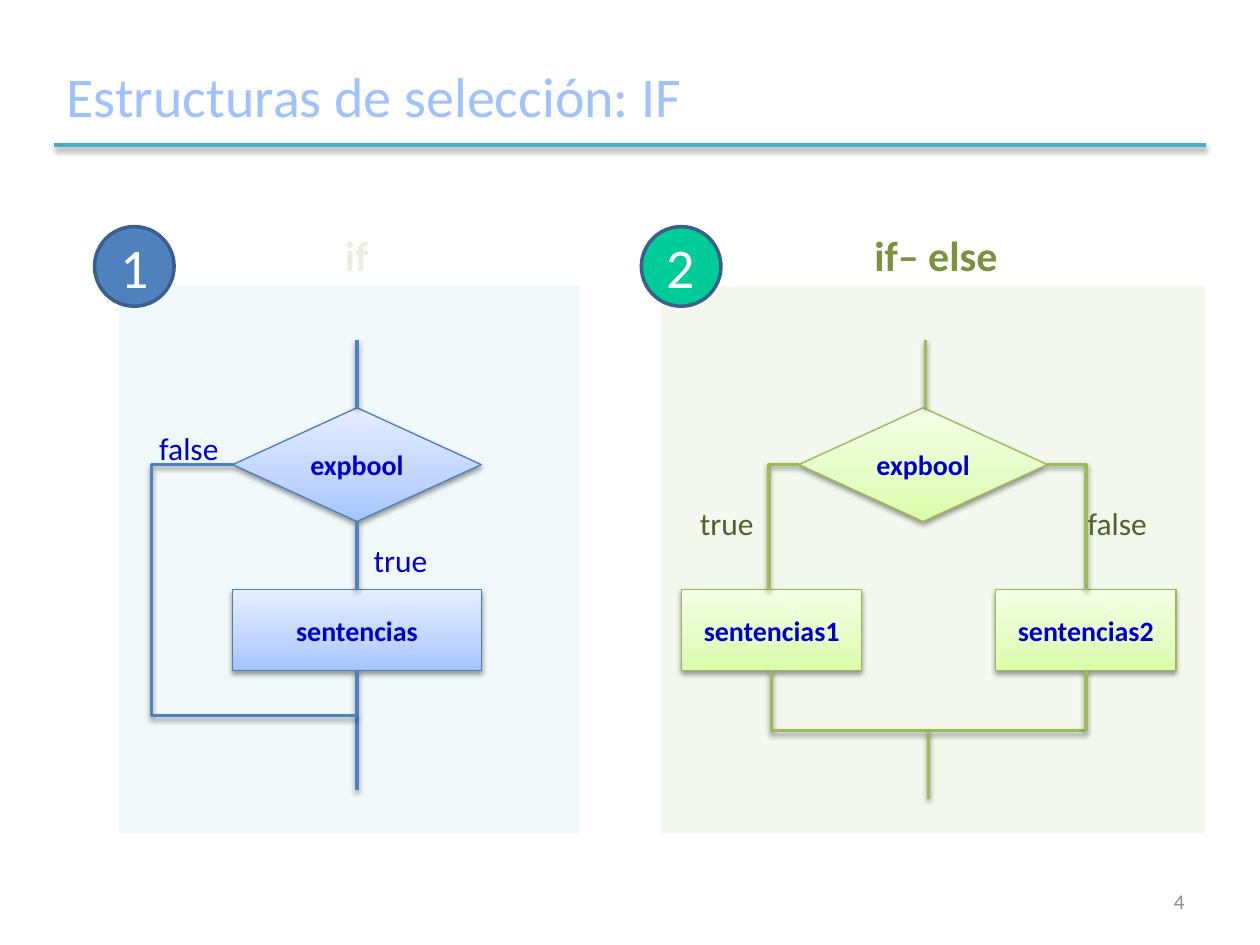
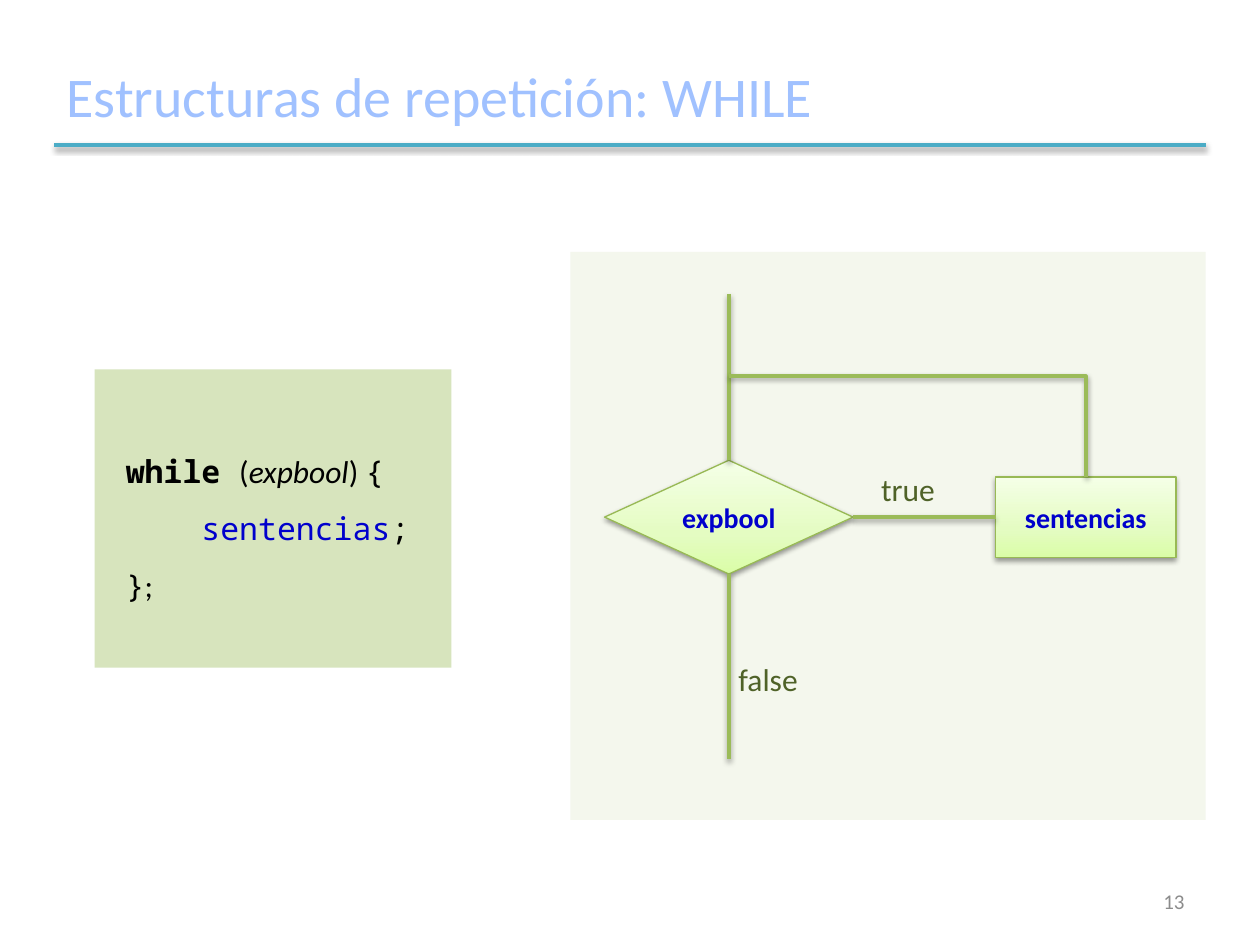
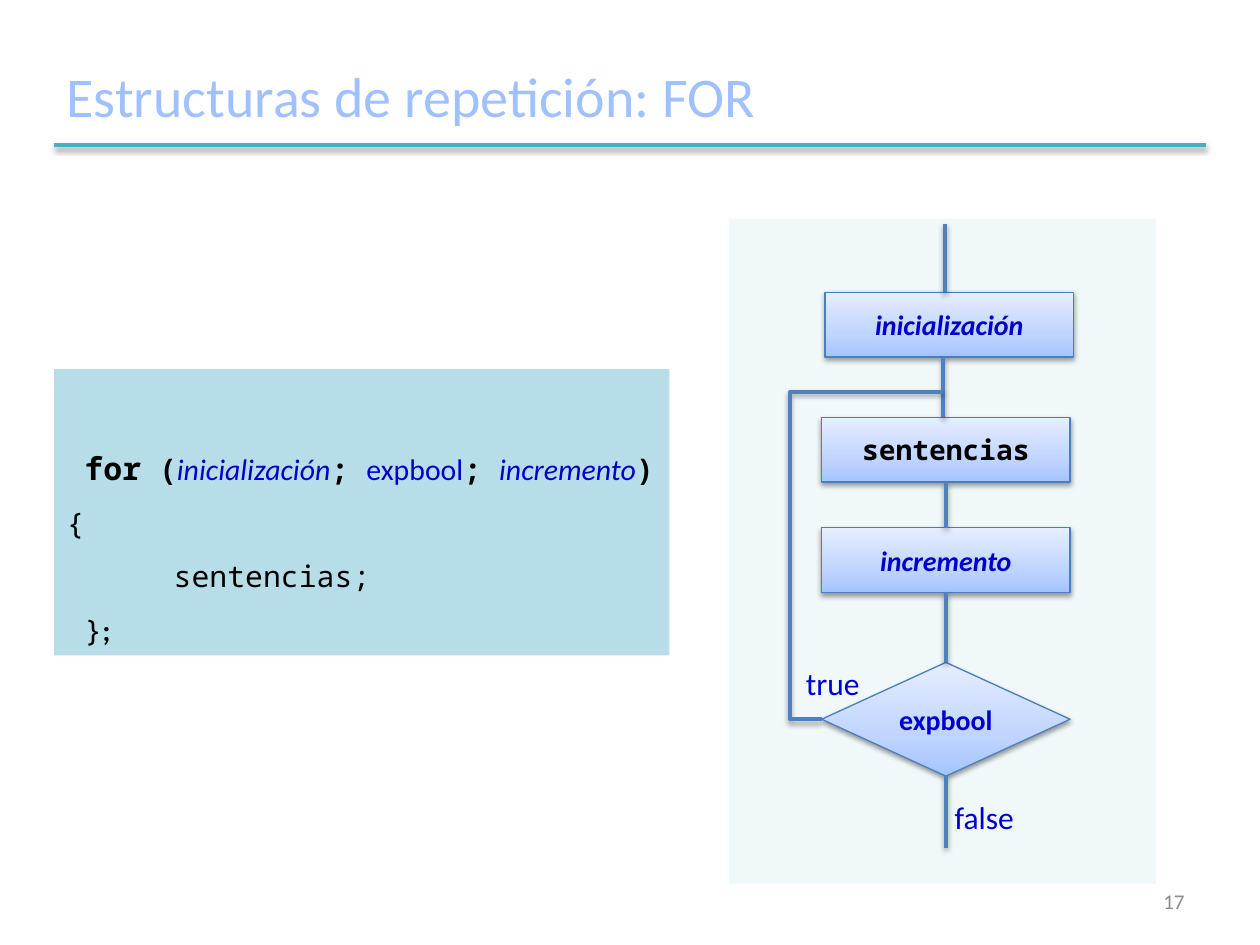
from lxml.etree import SubElement
from pptx import Presentation
from pptx.dml.color import RGBColor
from pptx.enum.shapes import MSO_CONNECTOR as Connector, MSO_SHAPE as Preset
from pptx.enum.text import MSO_ANCHOR as Anchor, PP_ALIGN as Align
from pptx.oxml.ns import qn
from pptx.util import Pt


class Theme:
    body_font, code_font = "Calibri", "Noto Sans Mono"
    title_size, heading_size, text_size, node_size, number_size = 32, 24, 18, 16, 12
    title, rule, number = "A0C1FF", "4BACC6", "8C8C8C"
    white, black, accent = "FFFFFF", "000000", "0000CC"
    badge_edge = "3A5F8C"
    blue = {"panel": "F0F8FA", "line": "4F81BD", "edge": "4B7EBC", "label": "0000CC",
            "code": "B7DEE8", "badge": "4F81BD", "heading": "EEECE1",
            "gradient": ((0, "A4C4FF"), (35, "BFD4FF"), (100, "E6EEFF"))}
    green = {"panel": "F4F7ED", "line": "9BBB59", "edge": "98B955", "label": "4F6228",
             "code": "D7E4BD", "badge": "00CC99", "heading": "77933C",
             "gradient": ((0, "DAFDA7"), (35, "E4FCC2"), (100, "F5FFE7"))}
    code_styles = {
        "keyword": (code_font, black, True, False),
        "code": (code_font, black, False, False),
        "code accent": (code_font, accent, False, False),
        "plain": (body_font, black, False, False),
        "bold": (body_font, black, True, False),
        "italic": (body_font, black, False, True),
        "accent": (body_font, accent, False, False),
        "accent italic": (body_font, accent, False, True),
    }


def write(shape, text, size, color, align=Align.LEFT, bold=False, italic=False,
          font=Theme.body_font):
    frame = shape.text_frame
    frame.word_wrap = True
    frame.vertical_anchor = Anchor.MIDDLE
    paragraph = frame.paragraphs[0]
    paragraph.text = text
    paragraph.alignment = align
    paragraph.font.name = font
    paragraph.font.size = Pt(size)
    paragraph.font.bold = bold
    paragraph.font.italic = italic
    paragraph.font.color.rgb = RGBColor.from_string(color)


def outline_with_shadow(shape, color, width):
    shape.line.color.rgb = RGBColor.from_string(color)
    shape.line.width = Pt(width)
    properties = shape._element.spPr
    for effects in properties.findall(qn("a:effectLst")):
        properties.remove(effects)
    effects = SubElement(properties, qn("a:effectLst"))
    shadow = SubElement(effects, qn("a:outerShdw"), blurRad=str(Pt(3.1)),
                        dist=str(Pt(1.6)), dir="5400000", rotWithShape="0")
    shadow_color = SubElement(shadow, qn("a:srgbClr"), val=Theme.black)
    SubElement(shadow_color, qn("a:alpha"), val="38000")


DIAMOND, BOX = Preset.DIAMOND, Preset.RECTANGLE
EXPRESSION = ("expbool", DIAMOND, (142, 65))
WIDE, NARROW, LOW = (142, 46), (103, 46), (142, 37)

slides = [
    {
        "title": "Estructuras de selección: IF",
        "number": "4",
        "charts": [
            {
                "palette": Theme.green,
                "panel": (377.5, 163.5, 311.5, 312.5),
                "badge": ("2", 366.5),
                "heading": ("if– else", 492.5),
                "nodes": [(*EXPRESSION, 456.5, 233),
                          ("sentencias1", BOX, NARROW, 389.5, 337),
                          ("sentencias2", BOX, NARROW, 569, 337)],
                "lines": [[(529, 194.5), (529, 233)],
                          [(456.5, 265.5), (439.5, 265.5), (439.5, 337)],
                          [(598.5, 265.5), (620.5, 265.5), (620.5, 337)],
                          [(441, 383), (441, 417.5), (620.5, 417.5)],
                          [(620.5, 383), (620.5, 417.5)],
                          [(530.5, 417.5), (530.5, 456.5)]],
                "labels": [("true", 400, 299), ("false", 621.5, 299)],
            },
            {
                "palette": Theme.blue,
                "panel": (68, 163.5, 263.5, 312.5),
                "badge": ("1", 54),
                "heading": ("if", 190),
                "nodes": [(*EXPRESSION, 133, 233),
                          ("sentencias", BOX, WIDE, 133, 337)],
                "lines": [[(204, 194.5), (204, 233)],
                          [(204, 298), (204, 337)],
                          [(204, 383), (204, 451.5)],
                          [(133, 265.5), (86.5, 265.5), (86.5, 409), (204, 409)]],
                "labels": [("false", 91, 256), ("true", 213.5, 320)],
            },
        ],
    },
    {
        "title": "Estructuras de repetición: WHILE",
        "number": "13",
        "charts": [
            {
                "palette": Theme.green,
                "panel": (326, 144, 363, 324.5),
                "nodes": [(*EXPRESSION, 345.5, 263),
                          ("sentencias", BOX, NARROW, 569, 272.5)],
                "lines": [[(416.5, 168), (416.5, 263)],
                          [(416.5, 215), (620.5, 215), (620.5, 272.5)],
                          [(569, 295.5), (487.5, 295.5)],
                          [(416.5, 328), (416.5, 434)]],
                "labels": [("true", 503.5, 279.5), ("false", 422, 388)],
                "code": {
                    "place": (54, 211, 204, 170.5),
                    "size": 18,
                    "top": 36.6,
                    "lines": [
                        (10.8, [("while ", "keyword"), ("(", "plain"), ("expbool", "italic"),
                                (") ", "plain"), ("{", "code")]),
                        (54, [("sentencias", "code accent"), (";", "code")]),
                        (10.8, [("}", "code"), (";", "plain")]),
                    ],
                },
            },
        ],
    },
    {
        "title": "Estructuras de repetición: FOR",
        "number": "17",
        "charts": [
            {
                "palette": Theme.blue,
                "panel": (416.5, 125, 244, 380),
                "nodes": [(*EXPRESSION, 469.5, 378.5),
                          ("inicialización", BOX, LOW, 471.5, 167),
                          ("sentencias", BOX, LOW, 469.5, 238.5),
                          ("incremento", BOX, LOW, 469.5, 301.5)],
                "italic": ("inicialización", "incremento"),
                "monospaced": ("sentencias",),
                "lines": [[(540, 128), (540, 167)],
                          [(539, 204), (539, 238.5)],
                          [(540.5, 275.5), (540.5, 301.5)],
                          [(540.5, 338.5), (540.5, 378.5)],
                          [(540.5, 443.5), (540.5, 484.5)],
                          [(469.5, 411), (451.5, 411), (451.5, 224), (539, 224)]],
                "labels": [("true", 460.5, 390.5), ("false", 545.5, 467)],
                "code": {
                    "place": (31, 211, 351.5, 163.5),
                    "size": 17,
                    "top": 34.6,
                    "lines": [
                        (10.2, [("for", "keyword"), (" (", "keyword"),
                                ("inicialización", "accent italic"), ("; ", "keyword"),
                                ("expbool", "accent"), ("; ", "keyword"),
                                ("incremento", "accent italic"), (") ", "keyword"),
                                ("{", "code")]),
                        (61.2, [("sentencias;", "code")]),
                        (10.2, [("}", "code"), (";", "bold")]),
                    ],
                },
            },
        ],
    },
]

presentation = Presentation()
presentation.slide_width, presentation.slide_height = Pt(720), Pt(540)

for content in slides:
    slide = presentation.slides.add_slide(presentation.slide_layouts[6])
    shapes = slide.shapes

    title = shapes.add_textbox(Pt(31), Pt(26), Pt(659), Pt(57))
    write(title, content["title"], Theme.title_size, Theme.title)
    rule = shapes.add_connector(Connector.STRAIGHT, Pt(31), Pt(83), Pt(689), Pt(83))
    outline_with_shadow(rule, Theme.rule, 2)
    number = shapes.add_textbox(Pt(516), Pt(500.5), Pt(168), Pt(29))
    write(number, content["number"], Theme.number_size, Theme.number, Align.RIGHT)

    for chart in content["charts"]:
        palette = chart["palette"]
        panel = shapes.add_shape(BOX, *map(Pt, chart["panel"]))
        panel.shadow.inherit = False
        panel.fill.solid()
        panel.fill.fore_color.rgb = RGBColor.from_string(palette["panel"])
        panel.line.fill.background()

        if "badge" in chart:
            digit, left = chart["badge"]
            badge = shapes.add_shape(Preset.OVAL, Pt(left), Pt(129.5), Pt(45.5), Pt(45.5))
            badge.shadow.inherit = False
            badge.fill.solid()
            badge.fill.fore_color.rgb = RGBColor.from_string(palette["badge"])
            badge.line.color.rgb = RGBColor.from_string(Theme.badge_edge)
            badge.line.width = Pt(2)
            write(badge, digit, Theme.title_size, Theme.white, Align.CENTER)
            text, left = chart["heading"]
            heading = shapes.add_textbox(Pt(left), Pt(127.5), Pt(148), Pt(36))
            write(heading, text, Theme.heading_size, palette["heading"], bold=True)

        sites = []
        for text, preset, (width, height), left, top in chart["nodes"]:
            node = shapes.add_shape(preset, Pt(left), Pt(top), Pt(width), Pt(height))
            node.fill.gradient()
            node.fill.gradient_angle = 90
            stops = node._element.spPr.find(".//" + qn("a:gsLst"))
            stops.clear()
            for position, color in palette["gradient"]:
                stop = SubElement(stops, qn("a:gs"), pos=str(position * 1000))
                SubElement(stop, qn("a:srgbClr"), val=color)
            outline_with_shadow(node, palette["edge"], 0.75)
            monospaced = text in chart.get("monospaced", ())
            write(node, text, Theme.node_size, Theme.black if monospaced else Theme.accent,
                  Align.CENTER, bold=True, italic=text in chart.get("italic", ()),
                  font=Theme.code_font if monospaced else Theme.body_font)
            middle_x, middle_y = left + width / 2, top + height / 2
            corners = [(middle_x, top), (left, middle_y),
                       (middle_x, top + height), (left + width, middle_y)]
            sites += [(point, node, site) for site, point in enumerate(corners)]

        for points in chart["lines"]:
            start, *bends, end = points
            if bends:
                builder = shapes.build_freeform(*map(Pt, start))
                builder.add_line_segments([tuple(map(Pt, point)) for point in points[1:]],
                                          close=False)
                line = builder.convert_to_shape()
                line.fill.background()
            else:
                line = shapes.add_connector(Connector.STRAIGHT, *map(Pt, start + end))
                for point, node, site in sites:
                    if point == start:
                        line.begin_connect(node, site)
                    if point == end:
                        line.end_connect(node, site)
            outline_with_shadow(line, palette["line"], 2)

        for text, left, middle in chart["labels"]:
            label = shapes.add_textbox(Pt(left), Pt(middle - 11), Pt(50), Pt(22))
            frame = label.text_frame
            frame.margin_left = frame.margin_right = frame.margin_top = frame.margin_bottom = 0
            write(label, text, Theme.text_size, palette["label"])

        if "code" in chart:
            code = chart["code"]
            listing = shapes.add_shape(BOX, *map(Pt, code["place"]))
            listing.shadow.inherit = False
            listing.fill.solid()
            listing.fill.fore_color.rgb = RGBColor.from_string(palette["code"])
            listing.line.fill.background()
            frame = listing.text_frame
            frame.word_wrap = True
            frame.vertical_anchor = Anchor.TOP
            frame.margin_top = Pt(code["top"])
            for index, (indent, runs) in enumerate(code["lines"]):
                paragraph = frame.add_paragraph() if index else frame.paragraphs[0]
                paragraph.alignment = Align.LEFT
                paragraph.line_spacing = 1.5
                paragraph._p.get_or_add_pPr().set("indent", str(Pt(indent)))
                for text, style in runs:
                    run = paragraph.add_run()
                    run.text = text
                    font = run.font
                    font.name, color, font.bold, font.italic = Theme.code_styles[style]
                    font.color.rgb = RGBColor.from_string(color)
                    font.size = Pt(Theme.text_size if text == "for" else code["size"])

presentation.save("out.pptx")
